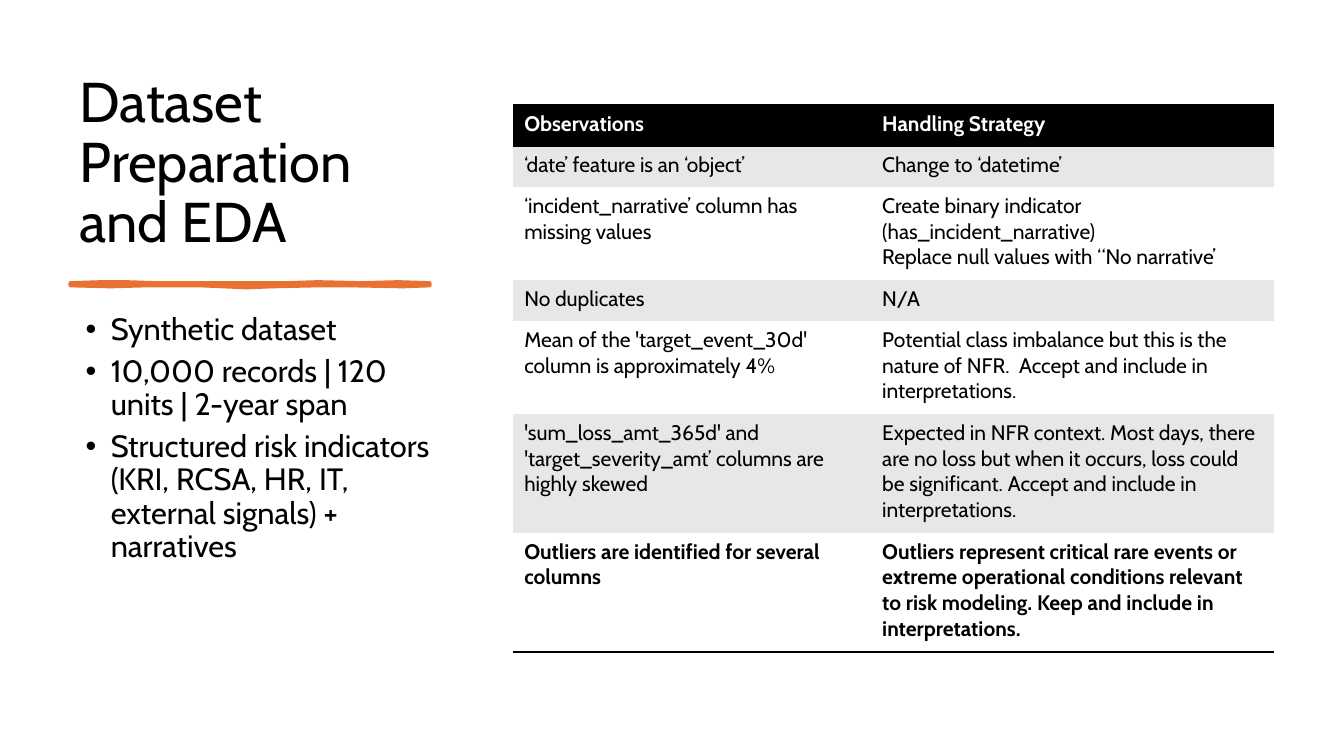
from dataclasses import dataclass
from lxml.etree import SubElement
from pptx import Presentation
from pptx.dml.color import RGBColor
from pptx.enum.text import MSO_ANCHOR
from pptx.oxml.ns import qn
from pptx.util import Emu, Pt

PX = 9144


@dataclass(frozen=True)
class Theme:
    font: str = "Cabin"
    ink: str = "000000"
    paper: str = "FFFFFF"
    band: str = "E7E7E7"
    accent: str = "E97132"
    title: int = 40
    body: int = 22
    cell: int = 15
    rule: int = 2
    stroke: int = 3


THEME = Theme()
NO_STYLE = "{2D5ABB26-0587-4C30-8999-92F81FD0307C}"
TITLE = "Dataset Preparation and EDA"
BULLETS = [
    "Synthetic dataset",
    "10,000 records | 120 units | 2-year span",
    "Structured risk indicators (KRI, RCSA, HR, IT, external signals) + narratives",
]
ROWS = [
    ("Observations", "Handling Strategy"),
    ("‘date’ feature is an ‘object’", "Change to ‘datetime’"),
    ("‘incident_narrative’ column has missing values",
     "Create binary indicator (has_incident_narrative)\nReplace null values with “No narrative’"),
    ("No duplicates", "N/A"),
    ("Mean of the 'target_event_30d' column is approximately 4%",
     "Potential class imbalance but this is the nature of NFR.  Accept and include in interpretations."),
    ("'sum_loss_amt_365d' and 'target_severity_amt’ columns are highly skewed",
     "Expected in NFR context. Most days, there are no loss but when it occurs, "
     "loss could be significant. Accept and include in interpretations."),
    ("Outliers are identified for several columns",
     "Outliers represent critical rare events or extreme operational conditions "
     "relevant to risk modeling. Keep and include in interpretations."),
]
COL_WIDTHS = [355, 400]
ROW_HEIGHTS = [41, 41, 92, 41, 92, 118, 118]
STROKE_TOP = [(0, 0), (30, -1), (55, -1), (85, 0), (139, 0), (214, 0),
              (245, -1), (289, 0), (325, -1), (356, 0)]
STROKE_BOTTOM = [(356, 2), (330, 3), (278, 2), (245, 2), (200, 3), (175, 4),
                 (129, 2), (75, 2), (40, 3), (0, 2)]


def px(n):
    return Emu(n * PX)


def rgb(color):
    return RGBColor.from_string(color)


def style(p, size, color, bold=False):
    for r in p.runs:
        r.font.name = THEME.font
        r.font.size = Pt(size)
        r.font.bold = bold
        r.font.color.rgb = rgb(color)


def add_text(s, box, text, size):
    tf = s.shapes.add_textbox(*map(px, box)).text_frame
    tf.word_wrap = True
    tf.text = text
    for p in tf.paragraphs:
        p.line_spacing = 0.9
        style(p, size, THEME.ink)
    return tf


def add_title(s, box):
    add_text(s, box, TITLE, THEME.title).vertical_anchor = MSO_ANCHOR.BOTTOM


def add_bullets(s, box):
    tf = add_text(s, box, "\n".join(BULLETS), THEME.body)
    for p in tf.paragraphs:
        p.space_after = Pt(6)
        pPr = p._p.get_or_add_pPr()
        pPr.set("marL", str(px(31)))
        pPr.set("indent", str(px(-25)))
        SubElement(pPr, qn("a:buFont"), typeface="Arial")
        SubElement(pPr, qn("a:buChar"), char="•")


def add_brush_stroke(s, left, top):
    start, *rest = [(left + x, top + y) for x, y in STROKE_TOP + STROKE_BOTTOM]
    fb = s.shapes.build_freeform(*start, scale=PX)
    fb.add_line_segments(rest, close=True)
    sp = fb.convert_to_shape()
    sp.shadow.inherit = False
    sp.fill.solid()
    sp.fill.fore_color.rgb = rgb(THEME.accent)
    sp.line.color.rgb = rgb(THEME.accent)
    sp.line.width = Pt(THEME.stroke)
    SubElement(sp.line._get_or_add_ln(), qn("a:round"))


def add_border(cell, side):
    tcPr = cell._tc.get_or_add_tcPr()
    ln = SubElement(tcPr, qn(f"a:ln{side}"), w=str(Pt(THEME.rule)))
    fill = SubElement(ln, qn("a:solidFill"))
    SubElement(fill, qn("a:srgbClr"), val=THEME.ink)


def fill_cell(cell, text, row):
    header, last = row == 0, row == len(ROWS) - 1
    for side in "TB" if header else "B" if last else "":
        add_border(cell, side)
    cell.fill.solid()
    background = THEME.ink if header else THEME.band if row % 2 else THEME.paper
    cell.fill.fore_color.rgb = rgb(background)
    cell.margin_left = cell.margin_right = px(11)
    cell.margin_top = cell.margin_bottom = px(6)
    cell.text_frame.text = text
    for p in cell.text_frame.paragraphs:
        style(p, THEME.cell, THEME.paper if header else THEME.ink, header or last)


def add_observations(s, left, top):
    box = (left, top, sum(COL_WIDTHS), sum(ROW_HEIGHTS))
    table = s.shapes.add_table(len(ROWS), len(COL_WIDTHS), *map(px, box)).table
    table.horz_banding = False
    table._tbl.tblPr.find(qn("a:tableStyleId")).text = NO_STYLE
    for col, width in zip(table.columns, COL_WIDTHS):
        col.width = px(width)
    for i, (height, texts) in enumerate(zip(ROW_HEIGHTS, ROWS)):
        table.rows[i].height = px(height)
        for j, text in enumerate(texts):
            fill_cell(table.cell(i, j), text, i)


def main():
    prs = Presentation()
    prs.slide_width, prs.slide_height = px(1333), px(750)
    s = prs.slides.add_slide(prs.slide_layouts[6])
    s.background.fill.solid()
    s.background.fill.fore_color.rgb = rgb(THEME.paper)
    add_title(s, (69, 70, 375, 188))
    add_brush_stroke(s, 70, 281)
    add_bullets(s, (69, 307, 375, 373))
    add_observations(s, 509, 104)
    prs.save("out.pptx")


if __name__ == "__main__":
    main()
